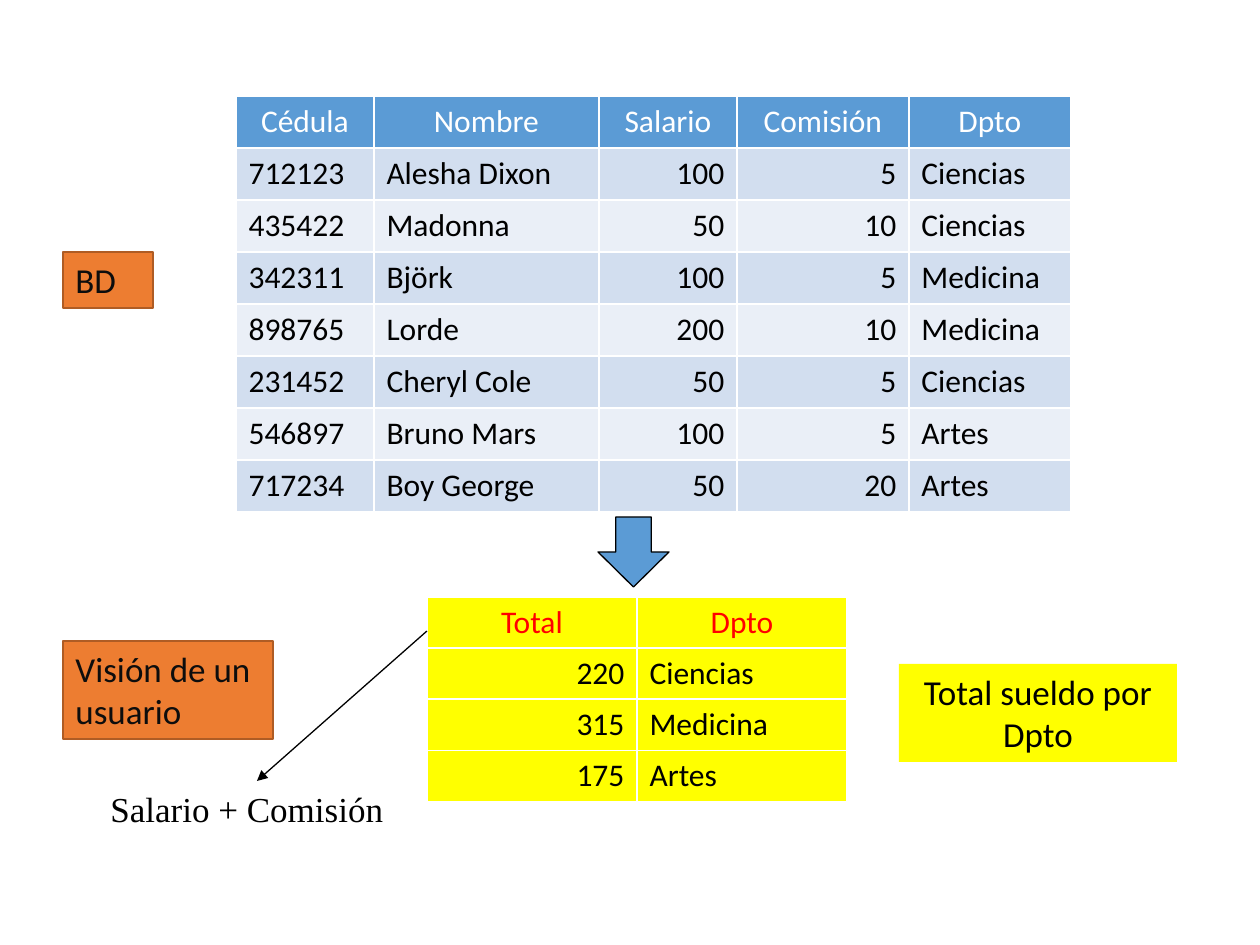
from lxml import etree
from pptx import Presentation
from pptx.dml.color import RGBColor
from pptx.enum.shapes import MSO_CONNECTOR as Connector, MSO_SHAPE as Shape
from pptx.enum.text import MSO_ANCHOR as Anchor, PP_ALIGN as Align
from pptx.oxml.ns import qn
from pptx.util import Pt

PX = 914400 / 126  # EMU in one px

BLACK = RGBColor(0x00, 0x00, 0x00)
WHITE = RGBColor(0xFF, 0xFF, 0xFF)
INK = RGBColor(0x0D, 0x0D, 0x0D)
BLUE = RGBColor(0x5B, 0x9B, 0xD5)
BAND_DARK = RGBColor(0xD2, 0xDE, 0xEF)
BAND_LIGHT = RGBColor(0xEA, 0xEF, 0xF7)
ORANGE = RGBColor(0xED, 0x7D, 0x31)
BROWN = RGBColor(0xAF, 0x5C, 0x24)
YELLOW = RGBColor(0xFF, 0xFF, 0x00)
RED = RGBColor(0xFF, 0x00, 0x00)

EMPLOYEES = [
    ("Cédula", "Nombre", "Salario", "Comisión", "Dpto"),
    ("712123", "Alesha Dixon", "100", "5", "Ciencias"),
    ("435422", "Madonna", "50", "10", "Ciencias"),
    ("342311", "Björk", "100", "5", "Medicina"),
    ("898765", "Lorde", "200", "10", "Medicina"),
    ("231452", "Cheryl Cole", "50", "5", "Ciencias"),
    ("546897", "Bruno Mars", "100", "5", "Artes"),
    ("717234", "Boy George", "50", "20", "Artes"),
]
TOTALS = [
    ("Total", "Dpto"),
    ("220", "Ciencias"),
    ("315", "Medicina"),
    ("175", "Artes"),
]


def px(*lengths):
    return [round(length * PX) for length in lengths]


def write(frame, text, size, color, align=Align.LEFT, font="Calibri"):
    frame.text = text
    paragraph = frame.paragraphs[0]
    paragraph.alignment = align
    for span in paragraph.runs:
        span.font.name = font
        span.font.size = Pt(size)
        span.font.bold = False
        span.font.color.rgb = color


def add_grid(page, left, top, widths, row_height, rows, number_columns,
             header_fill, header_color, bands):
    place = px(left, top, sum(widths), row_height * len(rows))
    table = page.shapes.add_table(len(rows), len(widths), *place).table
    for column, width in zip(table.columns, px(*widths)):
        column.width = width
    for r, values in enumerate(rows):
        table.rows[r].height = px(row_height)[0]
        for c, value in enumerate(values):
            if r == 0:
                fill, color, align = header_fill, header_color, Align.CENTER
            else:
                fill, color = bands[(r - 1) % len(bands)], BLACK
                align = Align.RIGHT if c in number_columns else Align.LEFT
            cell = table.cell(r, c)
            cell.fill.solid()
            cell.fill.fore_color.rgb = fill
            write(cell.text_frame, value, 18, color, align)


def add_block(page, kind, place, fill, line=None, line_width=1):
    block = page.shapes.add_shape(kind, *px(*place))
    block.shadow.inherit = False
    block.fill.solid()
    block.fill.fore_color.rgb = fill
    if line is None:
        block.line.fill.background()
    else:
        block.line.color.rgb = line
        block.line.width = Pt(line_width)
    return block


def add_label(page, place, text, fill, line=None, color=INK, align=Align.LEFT):
    label = add_block(page, Shape.RECTANGLE, place, fill, line)
    label.text_frame.word_wrap = True
    label.text_frame.vertical_anchor = Anchor.TOP
    write(label.text_frame, text, 20, color, align)


def add_note(page, place, text):
    note = page.shapes.add_textbox(*px(*place))
    note.text_frame.word_wrap = True
    write(note.text_frame, text, 20, BLACK, font="Times New Roman")
    return note


def add_pointer(page, start, target):
    middle = target.left + target.width // 2
    pointer = page.shapes.add_connector(
        Connector.STRAIGHT, *px(*start), middle, target.top)
    pointer.end_connect(target, 0)
    pointer.line.color.rgb = BLACK
    pointer.line.width = Pt(0.75)
    line = pointer.line._get_or_add_ln()
    etree.SubElement(line, qn("a:tailEnd"), type="triangle")
    etree.SubElement(pointer._element.spPr, qn("a:effectLst"))


def main():
    deck = Presentation()
    deck.slide_width, deck.slide_height = px(1260, 945)
    page = deck.slides.add_slide(deck.slide_layouts[6])

    # Database table
    add_grid(page, 236, 96, [138, 225, 138, 172, 162], 52, EMPLOYEES, {2, 3},
             BLUE, WHITE, [BAND_DARK, BAND_LIGHT])

    # Labels on the left
    add_label(page, (63, 252, 90, 56), "BD", ORANGE, BROWN)
    add_label(page, (63, 641, 210, 98), "Visión de un usuario", ORANGE, BROWN)

    # User's view of the data
    add_grid(page, 427, 597, [210, 210], 51, TOTALS, {0},
             YELLOW, RED, [YELLOW])
    add_block(page, Shape.DOWN_ARROW, (598, 517, 71, 70), BLUE, BLACK, 0.75)

    # Explanations of the view
    formula = add_note(page, (98, 781, 318, 56), "Salario + Comisión")
    add_pointer(page, (427, 631), formula)
    add_label(page, (899, 664, 278, 98), "Total sueldo por Dpto", YELLOW,
              color=BLACK, align=Align.CENTER)

    deck.save("out.pptx")


if __name__ == "__main__":
    main()
